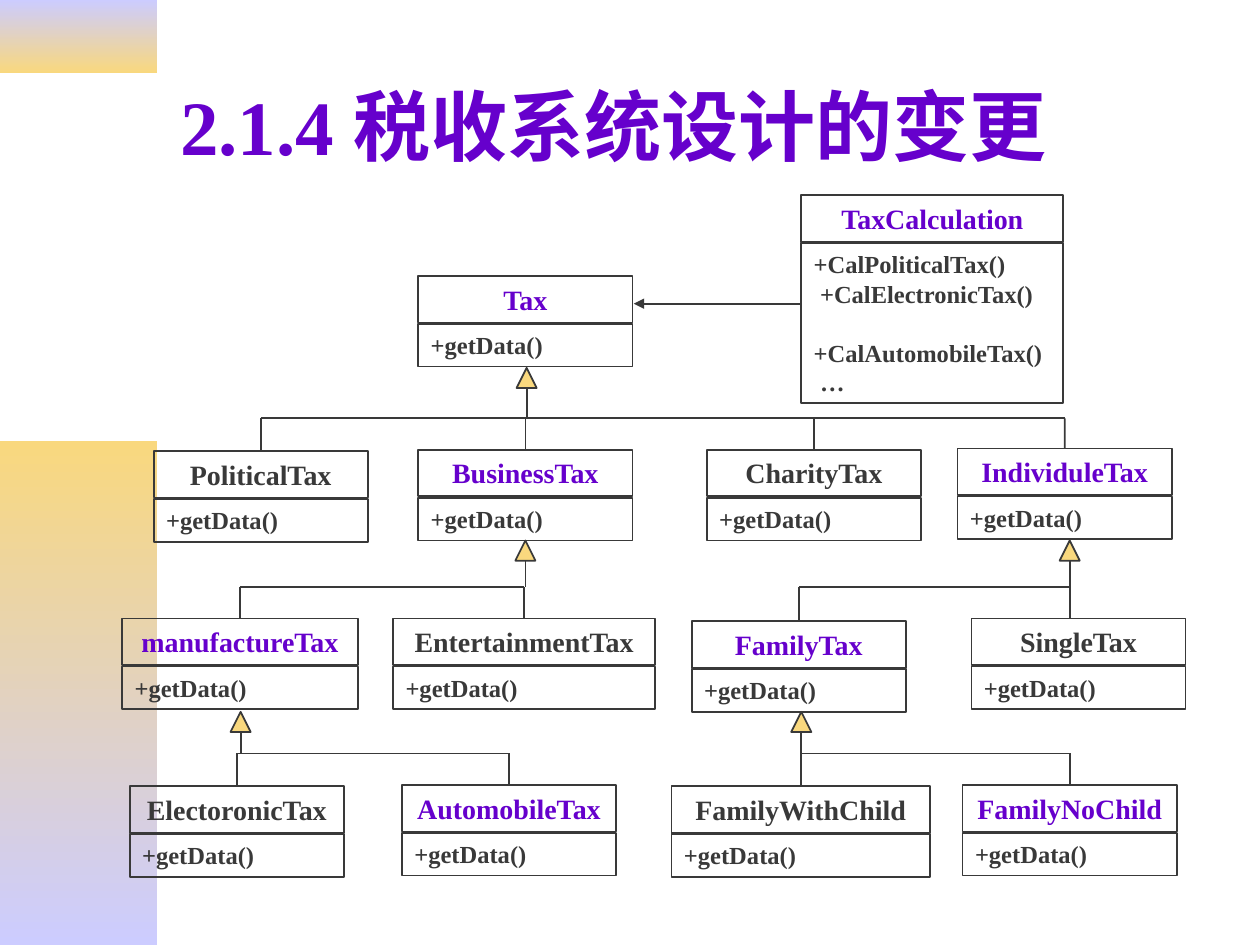
from dataclasses import dataclass
from typing import Any

from lxml.etree import SubElement
from pptx import Presentation
from pptx.dml.color import RGBColor
from pptx.enum.shapes import MSO_CONNECTOR, MSO_SHAPE
from pptx.enum.text import MSO_ANCHOR, PP_ALIGN
from pptx.oxml.ns import qn
from pptx.util import Inches, Pt

PURPLE = RGBColor(0x66, 0x00, 0xCC)
DARK = RGBColor(0x39, 0x39, 0x39)
GOLD = RGBColor(0xF9, 0xD8, 0x7E)
LAVENDER = RGBColor(0xCC, 0xCC, 0xFF)

HEADER_HEIGHT = 0.37
BODY_OFFSET = 0.38
BODY_HEIGHT = 0.34
ARROW_SIZE = 0.16

# Class name: left, top, width, name colour
CLASSES = {
    "Tax": (3.32, 2.19, 1.7, PURPLE),
    "PoliticalTax": (1.22, 3.58, 1.7, DARK),
    "BusinessTax": (3.32, 3.57, 1.7, PURPLE),
    "CharityTax": (5.61, 3.57, 1.7, DARK),
    "IndividuleTax": (7.6, 3.56, 1.7, PURPLE),
    "manufactureTax": (0.97, 4.91, 1.87, PURPLE),
    "EntertainmentTax": (3.12, 4.91, 2.08, DARK),
    "FamilyTax": (5.49, 4.93, 1.7, PURPLE),
    "SingleTax": (7.71, 4.91, 1.7, DARK),
    "ElectoronicTax": (1.03, 6.24, 1.7, DARK),
    "AutomobileTax": (3.19, 6.23, 1.7, PURPLE),
    "FamilyWithChild": (5.33, 6.24, 2.05, DARK),
    "FamilyNoChild": (7.64, 6.23, 1.7, PURPLE),
}

# Trunk x, arrow top, bus y, subclasses
INHERITANCE = [
    (4.18, 2.92, 3.32,
     ["PoliticalTax", "BusinessTax", "CharityTax", "IndividuleTax"]),
    (4.17, 4.29, 4.66, ["manufactureTax", "EntertainmentTax"]),
    (8.49, 4.29, 4.66, ["FamilyTax", "SingleTax"]),
    (1.91, 5.65, 5.98, ["ElectoronicTax", "AutomobileTax"]),
    (6.36, 5.65, 5.98, ["FamilyWithChild", "FamilyNoChild"]),
]
# Branch that meets its class off the middle of the top side
OFF_CENTRE = {"SingleTax": 8.49}


def write(paragraph, text, *, size, color, align=PP_ALIGN.LEFT, before=0, indent=0):
    paragraph.text = text
    paragraph.alignment = align
    paragraph.space_before = Pt(before)
    if indent:
        paragraph._p.get_or_add_pPr().set("marL", str(Inches(indent)))
    font = paragraph.runs[0].font
    font.name = "Times New Roman"
    font.size = Pt(size)
    font.bold = True
    font.color.rgb = color


@dataclass
class ClassDiagram:
    slide: Any
    line_color: RGBColor = DARK
    line_width: float = 1
    arrow_color: RGBColor = GOLD

    def title(self, text):
        heading = self.slide.shapes.title
        heading.left, heading.top = Inches(1.33), Inches(0.33)
        heading.width, heading.height = Inches(8.5), Inches(1.32)
        heading.text_frame.vertical_anchor = MSO_ANCHOR.MIDDLE
        write(heading.text_frame.paragraphs[0], text, size=44, color=PURPLE)

    def shape(self, kind, left, top, width, height):
        shape = self.slide.shapes.add_shape(
            kind, Inches(left), Inches(top), Inches(width), Inches(height))
        shape.shadow.inherit = False
        shape.line.color.rgb = self.line_color
        shape.line.width = Pt(self.line_width)
        return shape

    def band(self, top, height, upper, lower):
        band = self.shape(MSO_SHAPE.RECTANGLE, 0, top, 1.25, height)
        band.line.fill.background()
        band.fill.gradient()
        band.fill.gradient_angle = 270
        for stop, color, position in zip(
                band.fill.gradient_stops, (upper, lower), (0, 1)):
            stop.color.rgb = color
            stop.position = position

    def compartment(self, left, top, width, height):
        box = self.shape(MSO_SHAPE.RECTANGLE, left, top, width, height)
        box.fill.background()
        box.text_frame.word_wrap = True
        box.text_frame.vertical_anchor = MSO_ANCHOR.TOP
        return box

    def uml_class(self, name, left, top, width, color,
                  methods=(("+getData()", {}),), body_height=BODY_HEIGHT):
        body = self.compartment(left, top + BODY_OFFSET, width, body_height)
        for row, (method, spacing) in enumerate(methods):
            frame = body.text_frame
            paragraph = frame.add_paragraph() if row else frame.paragraphs[0]
            write(paragraph, method, size=14, color=DARK, **spacing)
        header = self.compartment(left, top, width, HEADER_HEIGHT)
        write(header.text_frame.paragraphs[0], name, size=16, color=color,
              align=PP_ALIGN.CENTER)
        return header

    def line(self, x1, y1, x2, y2, arrow=False):
        line = self.slide.shapes.add_connector(
            MSO_CONNECTOR.STRAIGHT, Inches(x1), Inches(y1), Inches(x2), Inches(y2))
        line.line.color.rgb = self.line_color
        line.line.width = Pt(self.line_width)
        if arrow:
            SubElement(line.line._get_or_add_ln(), qn("a:tailEnd"), type="triangle")
        SubElement(line._element.spPr, qn("a:effectLst"))
        return line

    def inheritance(self, trunk_x, arrow_top, bus_y, subclasses, headers):
        arrow = self.shape(MSO_SHAPE.ISOSCELES_TRIANGLE, trunk_x - ARROW_SIZE / 2,
                           arrow_top, ARROW_SIZE, ARROW_SIZE)
        arrow.fill.solid()
        arrow.fill.fore_color.rgb = self.arrow_color
        self.line(trunk_x, arrow_top + ARROW_SIZE, trunk_x, bus_y)
        branch_xs = []
        for name in subclasses:
            left, top, width, _ = CLASSES[name]
            branch_x = OFF_CENTRE.get(name, left + width / 2)
            branch = self.line(branch_x, bus_y, branch_x, top)
            if name not in OFF_CENTRE:
                branch.end_connect(headers[name], 0)
            branch_xs.append(branch_x)
        self.line(min(branch_xs), bus_y, max(branch_xs), bus_y)


def main():
    presentation = Presentation()
    presentation.slide_width, presentation.slide_height = Inches(10), Inches(7.5)
    diagram = ClassDiagram(presentation.slides.add_slide(presentation.slide_layouts[5]))

    # Side bands and title
    diagram.band(0, 0.58, LAVENDER, GOLD)
    diagram.band(3.5, 4, GOLD, LAVENDER)
    diagram.title("2.1.4 税收系统设计的变更")

    # Tax hierarchy
    headers = {name: diagram.uml_class(name, *place) for name, place in CLASSES.items()}
    for branch in INHERITANCE:
        diagram.inheritance(*branch, headers)

    # Calculator class and its use of Tax
    calculations = [
        ("+CalPoliticalTax()", {}),
        ("+CalElectronicTax()", {"indent": 0.05}),
        ("+CalAutomobileTax()", {"before": 16.8}),
        ("…", {"indent": 0.05}),
    ]
    diagram.uml_class("TaxCalculation", 6.36, 1.55, 2.08, PURPLE,
                      methods=calculations, body_height=1.27)
    diagram.line(6.36, 2.41, 5.03, 2.41, arrow=True)

    presentation.save("out.pptx")


if __name__ == "__main__":
    main()
